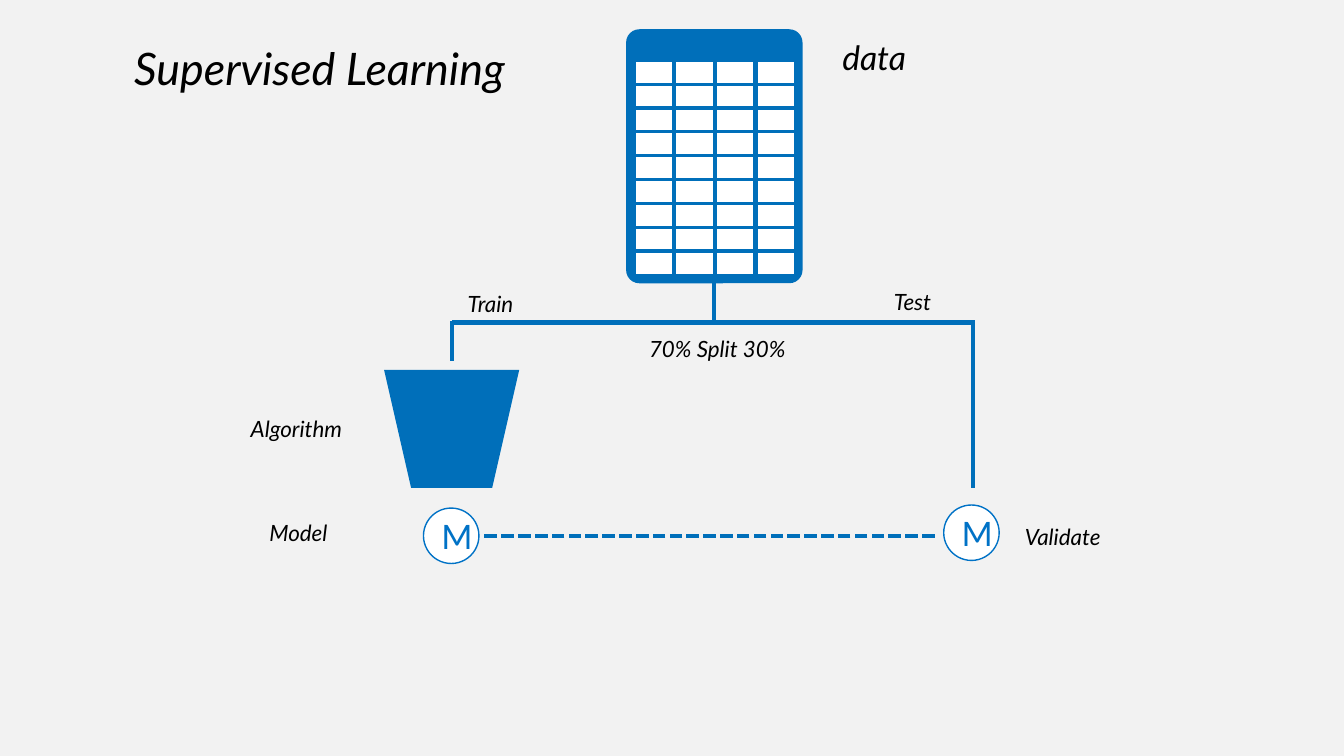
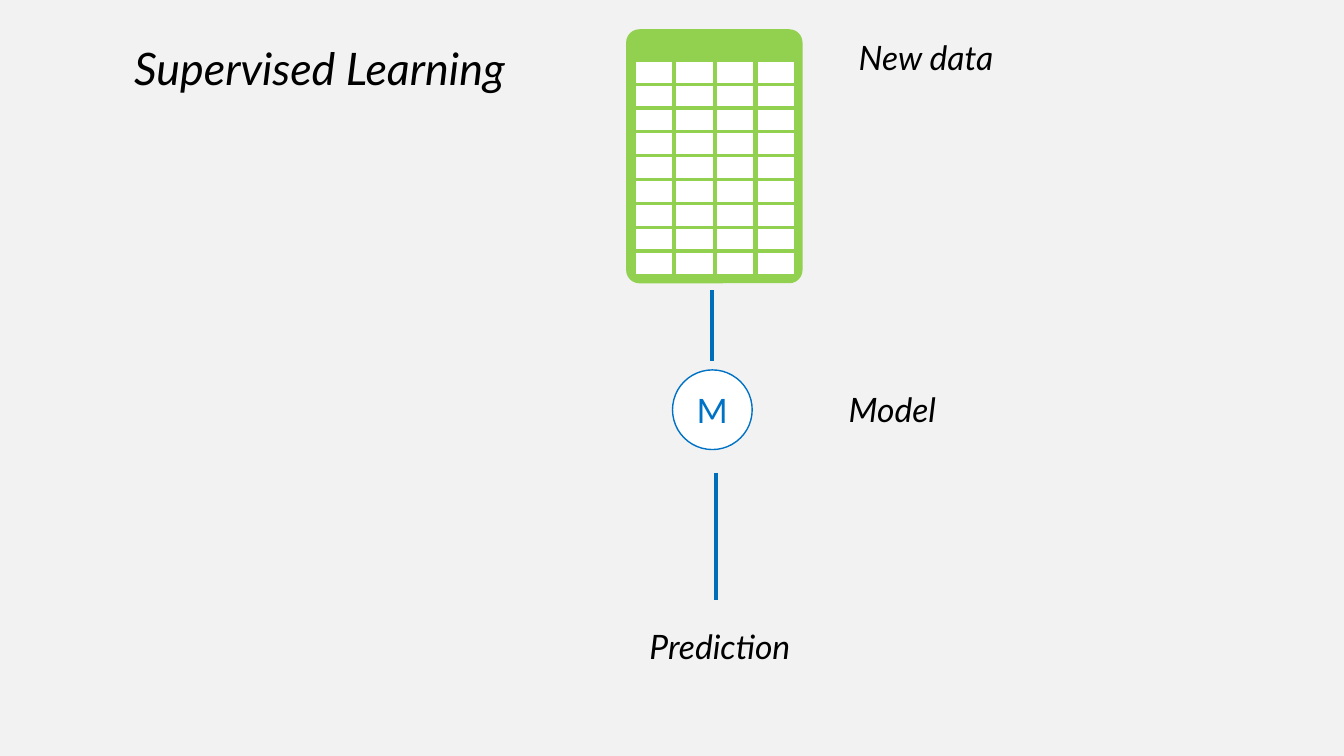
import pptx
import pptx.util
import pptx.dml.color
import pptx.oxml.ns
import pptx.enum.dml
import pptx.enum.shapes
import pptx.enum.text
import lxml.etree

Inches, Pt = pptx.util.Inches, pptx.util.Pt
SHAPE = pptx.enum.shapes.MSO_SHAPE
ALIGN = pptx.enum.text.PP_ALIGN
ANCHOR = pptx.enum.text.MSO_ANCHOR

FONT = "Lato"
BLUE, GREEN, RING = "006FBA", "92D050", "0072C6"
WHITE, BLACK, GREY = "FFFFFF", "000000", "F2F2F2"

# Shared geometry, in inches: left, top, width, height
TITLE_BOX = (1.23, 0.35, 4.08, 0.64)
CARD = (6.21, 0.29, 1.75, 2.52)
GRID = (6.29, 0.6, 1.6, 2.13)
CELL = (0.39, 0.24)
COLS, ROWS = 4, 9
CARD_X, CARD_BOTTOM = CARD[0] + CARD[2] / 2, CARD[1] + CARD[3]

# Split diagram: heights and columns the branches share
SPLIT_Y, TRAIN_X, TEST_X, FUNNEL = 3.2, 4.48, 9.65, (3.81, 3.67, 1.34, 1.17)

# Content: labels are (text, box, size); lines are (x1, y1, x2, y2, dashed)
SLIDES = [
    {
        "title": "Supervised Learning",
        "card": BLUE,
        "stem_end": SPLIT_Y,
        "funnel": FUNNEL,
        "models": [(4.2, 5.04, 0.55), (9.36, 5.01, 0.55)],
        "lines": [
            (TEST_X + 0.02, SPLIT_Y, TRAIN_X, SPLIT_Y, False),
            (TRAIN_X, SPLIT_Y - 0.02, TRAIN_X, 3.58, False),
            (TEST_X, SPLIT_Y - 0.02, TEST_X, 4.84, False),
            (9.27, 5.32, 4.79, 5.32, True),
        ],
        "labels": [
            ("data", (8.2, 0.32, 0.94, 0.5), 24),
            ("Train", (4.38, 2.83, 0.97, 0.37), 16),
            ("Test", (8.18, 2.81, 1.74, 0.37), 16),
            ("70% Split 30%", (6.13, 3.28, 1.97, 0.37), 16),
            ("Algorithm", (2.07, 4.07, 1.74, 0.37), 16),
            ("Model", (2.09, 5.1, 1.74, 0.37), 16),
            ("Validate", (9.67, 5.14, 1.74, 0.37), 16),
        ],
    },
    {
        "title": "Supervised Learning",
        "card": GREEN,
        "models": [(6.67, 3.67, 0.79)],
        "lines": [
            (7.06, 2.88, 7.06, 3.58, False),
            (7.1, 4.69, 7.1, 5.95, False),
        ],
        "labels": [
            ("New data", (8.2, 0.32, 1.97, 0.5), 24),
            ("Model", (8.2, 3.81, 1.3, 0.5), 24),
            ("Prediction", (6.2, 6.16, 1.88, 0.5), 24),
        ],
    },
]


def rgb(value):
    return pptx.dml.color.RGBColor.from_string(value)


def inches(box):
    return [Inches(v) for v in box]


def write(tf, text, size, color=BLACK, italic=True, align=ALIGN.CENTER):
    p = tf.paragraphs[0]
    p.alignment = align
    r = p.add_run()
    r.text = text
    r.font.name, r.font.size, r.font.italic = FONT, Pt(size), italic
    r.font.color.rgb = rgb(color)


def add_shape(shapes, kind, box, fill, line=None, width=1):
    sp = shapes.add_shape(kind, *inches(box))
    sp.shadow.inherit = False
    sp.fill.solid()
    sp.fill.fore_color.rgb = rgb(fill)
    if line:
        sp.line.color.rgb = rgb(line)
        sp.line.width = Pt(width)
    else:
        sp.line.fill.background()
    return sp


def add_line(s, x1, y1, x2, y2, dashed=False):
    line = s.shapes.add_connector(pptx.enum.shapes.MSO_CONNECTOR.STRAIGHT,
                                  *inches((x1, y1, x2, y2)))
    line.line.color.rgb = rgb(BLUE)
    line.line.width = Pt(3)
    if dashed:
        line.line.dash_style = pptx.enum.dml.MSO_LINE.SQUARE_DOT
    lxml.etree.SubElement(line._element.spPr, pptx.oxml.ns.qn("a:effectLst"))
    return line


def add_label(s, text, box, size):
    tf = s.shapes.add_textbox(*inches(box)).text_frame
    tf.word_wrap = True
    write(tf, text, size)


def add_data_card(s, color):
    card = add_shape(s.shapes, SHAPE.ROUNDED_RECTANGLE, CARD, color)
    card.adjustments[0] = 0.075
    left, top, width, height = GRID
    w, h = CELL
    step_x, step_y = (width - w) / (COLS - 1), (height - h) / (ROWS - 1)
    cells = s.shapes.add_group_shape().shapes
    for row in range(ROWS):
        for col in range(COLS):
            box = (left + col * step_x, top + row * step_y, w, h)
            add_shape(cells, SHAPE.RECTANGLE, box, WHITE, color, 2.25)
    return card


def add_model(s, left, top, size):
    sp = add_shape(s.shapes, SHAPE.OVAL, (left, top, size, size), WHITE, RING)
    write(sp.text_frame, "M", 24, RING, italic=False)


def set_up_template(prs):
    # Background and title place are shared by every slide
    fill = prs.slide_master.background.fill
    fill.solid()
    fill.fore_color.rgb = rgb(GREY)
    layout = prs.slide_layouts[5]
    title = layout.placeholders[0]
    title.left, title.top, title.width, title.height = inches(TITLE_BOX)
    title.text_frame.vertical_anchor = ANCHOR.TOP
    title.text_frame.word_wrap = False
    return layout


def build_slide(prs, layout, content):
    s = prs.slides.add_slide(layout)
    write(s.shapes.title.text_frame, content["title"], 32, align=ALIGN.LEFT)
    card = add_data_card(s, content["card"])
    # Flow from the data down to the model
    if "stem_end" in content:
        stem = add_line(s, CARD_X, CARD_BOTTOM, CARD_X, content["stem_end"])
        stem.begin_connect(card, 2)
    for line in content["lines"]:
        add_line(s, *line)
    if "funnel" in content:
        add_shape(s.shapes, SHAPE.FLOWCHART_MANUAL_OPERATION, content["funnel"], BLUE)
    for model in content["models"]:
        add_model(s, *model)
    for label in content["labels"]:
        add_label(s, *label)


def main():
    prs = pptx.Presentation()
    prs.slide_width, prs.slide_height = Inches(13.33), Inches(7.5)
    layout = set_up_template(prs)
    for content in SLIDES:
        build_slide(prs, layout, content)
    prs.save("out.pptx")


if __name__ == "__main__":
    main()
